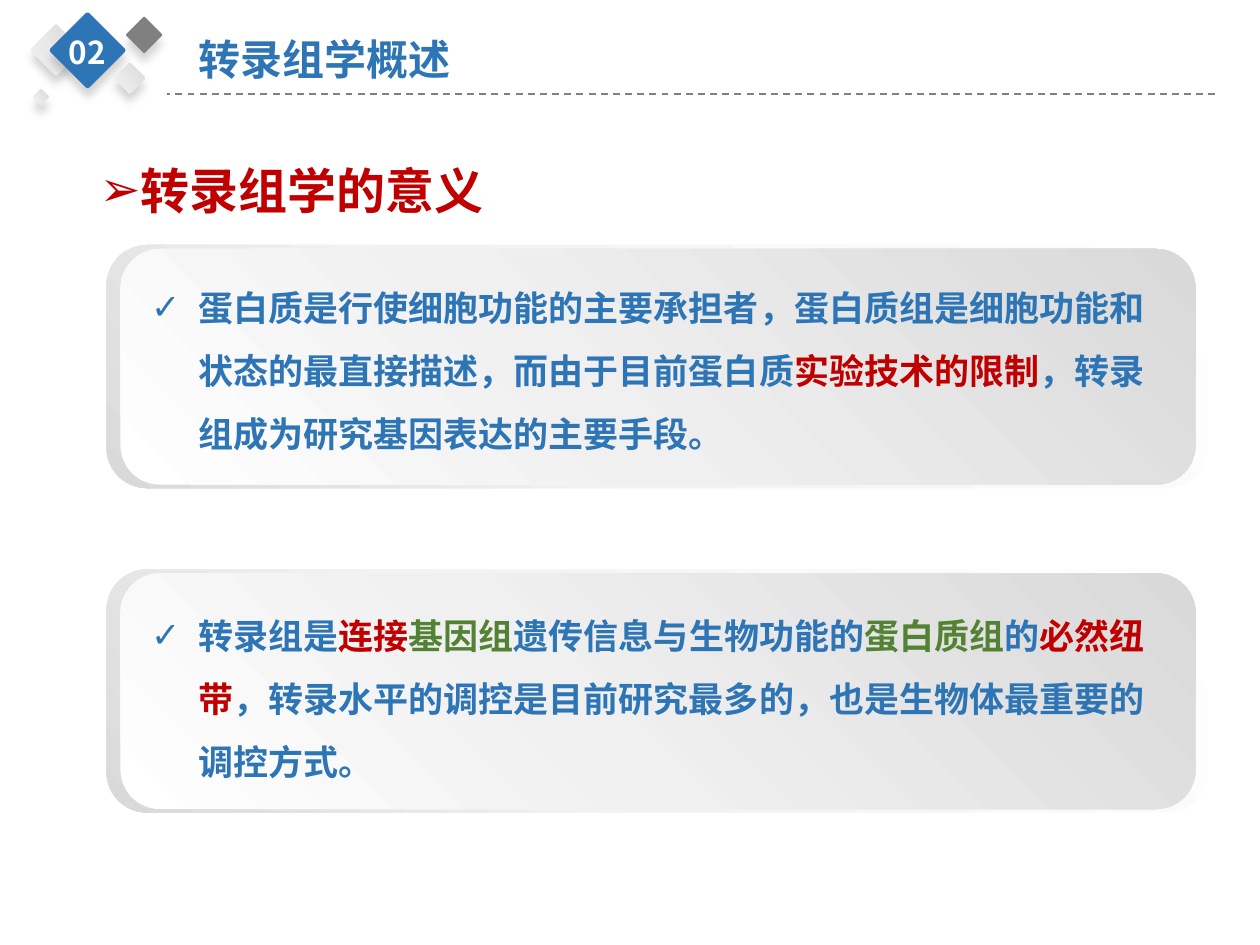
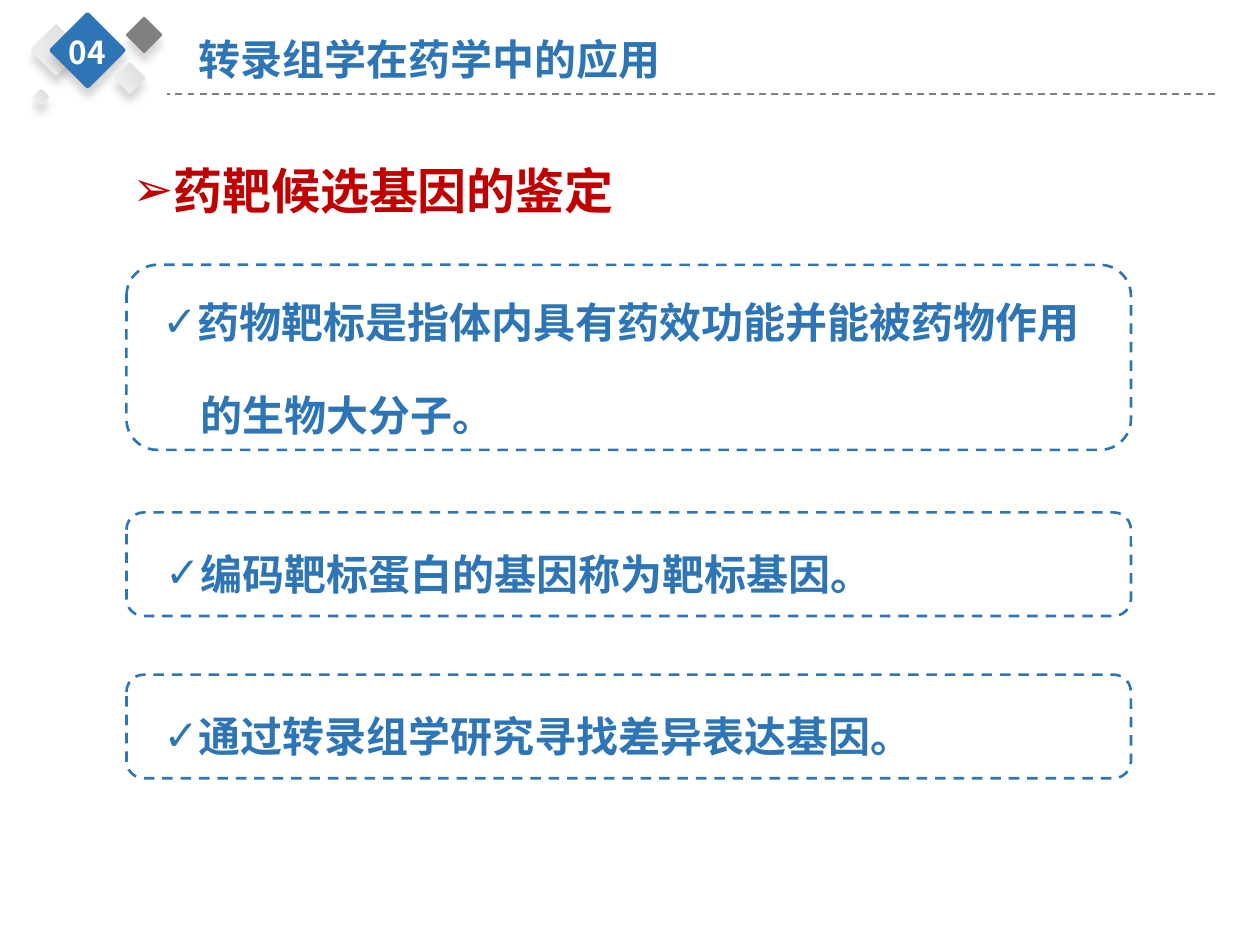
from lxml import etree
from pptx import Presentation
from pptx import util as u
from pptx.dml.color import RGBColor
from pptx.enum import dml, shapes, text
from pptx.oxml import parse_xml
from pptx.oxml.ns import nsdecls, qn

BLUE, RED, GREEN, GRAY, WHITE = "2E75B6", "C00000", "548235", "808080", "FFFFFF"
LATIN, CJK = "Arial", "Noto Sans CJK SC"
SILVER = [(0, "F2F2F2"), (100, "DBDBDB")]
# left, top, side and fill of each badge diamond; None means the silver gradient
DIAMONDS = [(0.76, 0.64, 0.74, None), (1.21, 0.46, 1.11, BLUE), (2.64, 0.44, 0.53, GRAY),
            (2.39, 1.35, 0.45, None), (0.71, 1.84, 0.23, None)]


def rgb(color):
    return RGBColor.from_string(color)


def box(*lengths):
    return [u.Cm(v) for v in lengths]


# Shapes
def add_round(slide, at, fill=None, adj=None):
    sp = slide.shapes.add_shape(shapes.MSO_SHAPE.ROUNDED_RECTANGLE, *box(*at))
    sp.shadow.inherit = False
    sp.line.fill.background()
    if adj is not None:
        sp.adjustments[0] = adj
    if fill:
        sp.fill.solid()
        sp.fill.fore_color.rgb = rgb(fill)
    else:
        sp.fill.background()
    return sp


def set_gradient(sp, stops, angle):
    gs = "".join(f'<a:gs pos="{pos * 1000}"><a:srgbClr val="{c}"/></a:gs>' for pos, c in stops)
    grad = parse_xml(f'<a:gradFill {nsdecls("a")} rotWithShape="1"><a:gsLst>{gs}</a:gsLst>'
                     f'<a:lin ang="{angle * 60000}" scaled="0"/></a:gradFill>')
    pr = sp._element.spPr
    pr.replace(pr.find(qn("a:noFill")), grad)


def set_shadow(sp):
    effects = sp._element.spPr.find(qn("a:effectLst"))
    effects.append(parse_xml(
        f'<a:outerShdw {nsdecls("a")} blurRad="63500" dist="63500" dir="5400000" algn="t" '
        'rotWithShape="0"><a:srgbClr val="595959"><a:alpha val="25000"/></a:srgbClr></a:outerShdw>'))


def add_card(slide, top):
    back = add_round(slide, (2.15, top, 22.2, 4.9))
    set_gradient(back, [(0, WHITE), (62, "F2F2F2"), (100, "D9D9D9")], 135)
    front = add_round(slide, (2.43, top + 0.08, 21.67, 4.75))
    set_gradient(front, [(0, WHITE), (42, "F0F0F0"), (100, "D9D9D9")], 315)


def add_frame(slide, top, height):
    sp = add_round(slide, (2.55, top, 20.25, height))
    sp.line.color.rgb = rgb(BLUE)
    sp.line.width = u.Pt(1.5)
    sp.line.dash_style = dml.MSO_LINE.DASH


# Text
def add_run(p, words, size, color, font=LATIN):
    r = p.add_run()
    r.text = words
    r.font.size, r.font.bold, r.font.name = u.Pt(size), True, font
    r.font.color.rgb = rgb(color)
    etree.SubElement(r._r.get_or_add_rPr(), qn("a:ea"), typeface=CJK)


def format_paragraph(p, bullet=None, indent=0.0, spacing=1.5, before=0, after=0):
    pr = p._p.get_or_add_pPr()
    pr.set("marL", str(u.Cm(indent)))
    pr.set("indent", str(u.Cm(-0.95) if bullet else 0))
    if bullet:
        etree.SubElement(pr, qn("a:buFont"), typeface=LATIN)
        etree.SubElement(pr, qn("a:buChar"), char=bullet)
    else:
        etree.SubElement(pr, qn("a:buNone"))
    p.line_spacing, p.space_before, p.space_after = spacing, u.Pt(before), u.Pt(after)
    p.alignment = text.PP_ALIGN.LEFT


def prepare(sp, wrap=True):
    tf = sp.text_frame
    tf.word_wrap = wrap
    tf.auto_size = text.MSO_AUTO_SIZE.NONE
    tf.vertical_anchor = text.MSO_ANCHOR.TOP
    return tf


def add_text(slide, at, wrap=True):
    return prepare(slide.shapes.add_textbox(*box(*at)), wrap)


def use_placeholder(slide, idx, at, wrap=True):
    sp = slide.placeholders[idx]
    sp.left, sp.top, sp.width, sp.height = box(*at)
    slide.shapes._spTree.append(sp._element)  # bring to front
    return prepare(sp, wrap)


def add_heading(slide, left, words):
    p = add_text(slide, (left, 2.51, 20.55, 1.83)).paragraphs[0]
    format_paragraph(p, "➢", after=12)
    add_run(p, words, 28, RED)


def add_point(tf, words, spacing=1.5):
    p = tf.paragraphs[0]
    format_paragraph(p, "✓", spacing=spacing, after=12)
    add_run(p, words, 24, BLUE)


# Shared header: dashed rule, title and numbered badge
def add_slide(prs, number, title):
    slide = prs.slides.add_slide(prs.slide_layouts[1])
    rule = slide.shapes.add_connector(shapes.MSO_CONNECTOR.STRAIGHT, *box(24.5, 1.9, 3.36, 1.9))
    rule.line.color.rgb = rgb(GRAY)
    rule.line.width = u.Pt(1)
    rule.line.dash_style = dml.MSO_LINE.DASH
    etree.SubElement(rule._element.spPr, qn("a:effectLst"))

    p = use_placeholder(slide, 0, (3.74, 0.54, 0.85 * len(title) + 0.54, 1.27), False).paragraphs[0]
    format_paragraph(p, spacing=1.0)
    add_run(p, title, 24, BLUE, CJK)

    for left, top, side, fill in DIAMONDS:
        sp = add_round(slide, (left, top, side, side), fill, adj=0.05)
        sp.rotation = 45
        if not fill:
            set_gradient(sp, SILVER, 280)
        set_shadow(sp)
    p = add_text(slide, (1.11, 0.54, 1.3, 1.02), False).paragraphs[0]
    p.alignment = text.PP_ALIGN.CENTER
    add_run(p, number, 18, WHITE, CJK)
    return slide


def build_meaning(prs):
    slide = add_slide(prs, "02", "转录组学概述")
    for top in (11.48, 4.94):
        add_card(slide, top)
    add_heading(slide, 1.76, "转录组学的意义")
    items = [
        [("蛋白质是行使细胞功能的主要承担者，蛋白质组是细胞功能和状态的最直接描述，"
          "而由于目前蛋白质", BLUE),
         ("实验技术的限制", RED), ("，转录组成为研究基因表达的主要手段。", BLUE)],
        [("转录组是", BLUE), ("连接", RED), ("基因组", GREEN), ("遗传信息与生物功能的", BLUE),
         ("蛋白质组", GREEN), ("的", BLUE), ("必然纽带", RED),
         ("，转录水平的调控是目前研究最多的，也是生物体最重要的调控方式。", BLUE)],
    ]
    tf = use_placeholder(slide, 1, (2.79, 5.23, 20.65, 10.62))
    for i, runs in enumerate(items):
        p = tf.add_paragraph() if i else tf.paragraphs[0]
        format_paragraph(p, "✓", indent=0.95, before=79.5 if i else 0)
        for words, color in runs:
            add_run(p, words, 20, color)


def build_targets(prs):
    slide = add_slide(prs, "04", "转录组学在药学中的应用")
    add_heading(slide, 2.42, "药靶候选基因的鉴定")
    for top, height in ((5.34, 3.73), (10.33, 2.09), (13.6, 2.09)):
        add_frame(slide, top, height)

    # Definition on two spaced lines
    tf = use_placeholder(slide, 1, (3.02, 5.84, 20.55, 3.12))
    add_point(tf, "药物靶标是指体内具有药效功能并能被药物作用", u.Pt(29))
    p = tf.add_paragraph()
    format_paragraph(p, indent=0.77, spacing=u.Pt(29), before=12, after=12)
    add_run(p, "的生物大分子。", 24, BLUE)

    add_point(add_text(slide, (3.08, 10.42, 19.2, 1.6)), "编码靶标蛋白的基因称为靶标基因。")
    add_point(add_text(slide, (3.05, 13.69, 20.55, 1.6)), "通过转录组学研究寻找差异表达基因。")


def main():
    prs = Presentation()
    prs.slide_width, prs.slide_height = box(25.4, 19.05)
    build_meaning(prs)
    build_targets(prs)
    prs.save("out.pptx")


if __name__ == "__main__":
    main()
